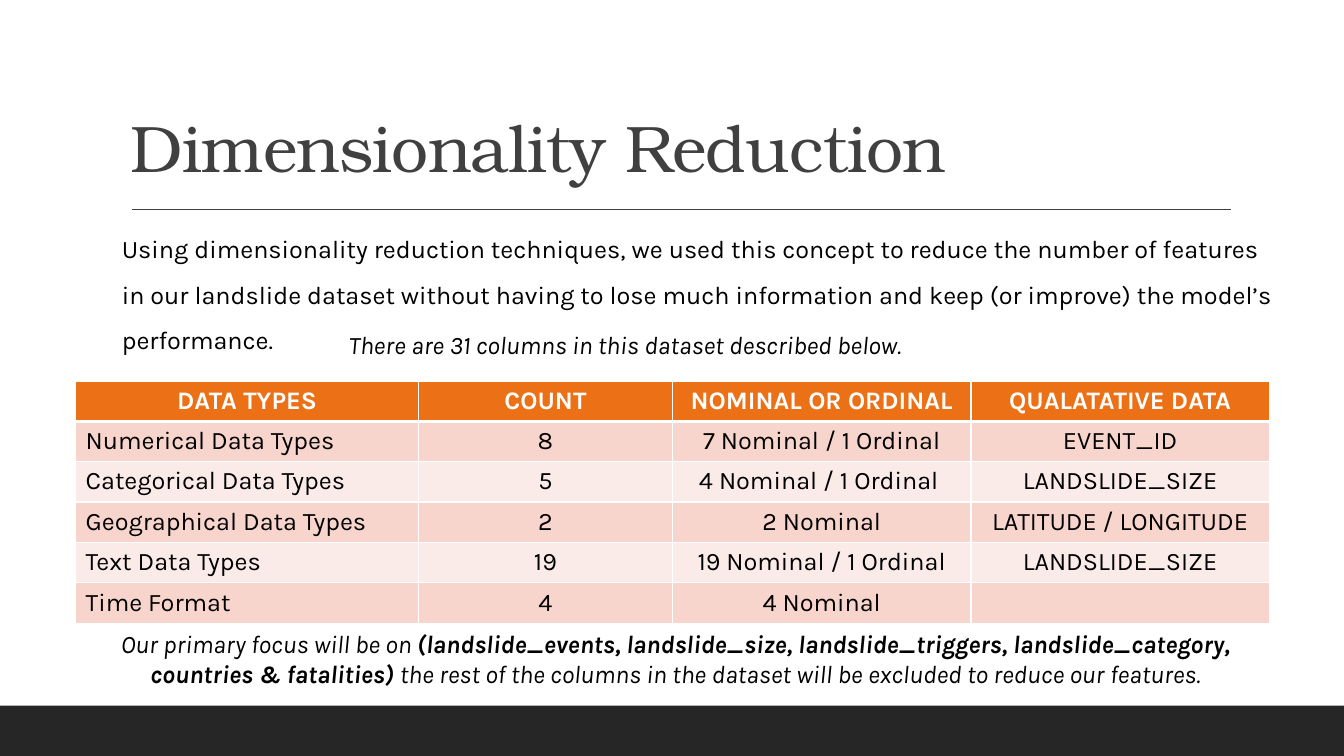
from lxml.etree import SubElement
from pptx import Presentation
from pptx.dml.color import RGBColor
from pptx.enum.shapes import MSO_CONNECTOR as Connector, MSO_SHAPE as Shape
from pptx.enum.text import MSO_ANCHOR as Anchor, PP_ALIGN as Align
from pptx.oxml.ns import qn
from pptx.util import Inches, Pt

WIDTH, HEIGHT = 13.33, 7.5
BODY_FONT, TITLE_FONT = "Karla", "TeX Gyre Bonum"

BLACK = RGBColor(0x00, 0x00, 0x00)
WHITE = RGBColor(0xFF, 0xFF, 0xFF)
CHARCOAL = RGBColor(0x26, 0x26, 0x26)
GRAY = RGBColor(0x40, 0x40, 0x40)
ORANGE = RGBColor(0xEC, 0x70, 0x16)
BANDS = RGBColor(0xF8, 0xD5, 0xCC), RGBColor(0xFB, 0xEB, 0xE8)

INTRO = ("Using dimensionality reduction techniques, we used this concept to reduce "
         "the number of features in our landslide dataset without having to lose much "
         "information and keep (or improve) the model’s performance.")
CAPTION = "There are 31 columns in this dataset described below."
FOCUS = [
    ("Our primary focus will be on ", False),
    ("(landslide_events, landslide_size, landslide_triggers, landslide_category, "
     "countries & fatalities) ", True),
    ("the rest of the columns in the dataset will be excluded to reduce our features.", False),
]
TABLE_ROWS = [
    ("DATA TYPES", "COUNT", "NOMINAL OR ORDINAL", "QUALATATIVE DATA"),
    ("Numerical Data Types", "8", "7 Nominal / 1 Ordinal", "EVENT_ID"),
    ("Categorical Data Types", "5", "4 Nominal / 1 Ordinal ", "LANDSLIDE_SIZE"),
    ("Geographical Data Types", "2", "2 Nominal", "LATITUDE / LONGITUDE"),
    ("Text Data Types", "19", "19 Nominal / 1 Ordinal", "LANDSLIDE_SIZE"),
    ("Time Format", "4", "4 Nominal", ""),
]
COLUMN_WIDTHS = 3.4, 2.52, 2.96, 2.96


def write_text(frame, runs, size=18, font=BODY_FONT, color=BLACK, bold=False,
               italic=False, align=Align.LEFT, line_spacing=None, tracking=None):
    """Write a string, or (text, bold) pairs, as the frame's paragraph."""
    paragraph = frame.paragraphs[0]
    paragraph.alignment = align
    if line_spacing:
        paragraph.line_spacing = line_spacing
    for text, is_bold in [(runs, bold)] if isinstance(runs, str) else runs:
        run = paragraph.add_run()
        run.text = text
        run.font.name, run.font.size = font, Pt(size)
        run.font.bold, run.font.italic = is_bold, italic
        run.font.color.rgb = color
        if tracking:
            run.font._element.set("spc", str(int(tracking * 100)))


def add_text(slide, box, runs, anchor=Anchor.TOP, **text_format):
    frame = slide.shapes.add_textbox(*map(Inches, box)).text_frame
    frame.word_wrap = True
    frame.vertical_anchor = anchor
    write_text(frame, runs, **text_format)


def add_footer_band(slide, box):
    band = slide.shapes.add_shape(Shape.RECTANGLE, *map(Inches, box))
    band.shadow.inherit = False
    band.fill.solid()
    band.fill.fore_color.rgb = CHARCOAL
    band.line.fill.background()


def add_title(slide, box):
    """Title resting on the bottom of its box, with a rule below."""
    left, top, width, height = box
    add_text(slide, box, "Dimensionality Reduction", anchor=Anchor.BOTTOM, size=47,
             font=TITLE_FONT, color=GRAY, line_spacing=0.9, tracking=-0.5)
    rule_left, rule_top = left + 0.11, top + height + 0.18
    rule = slide.shapes.add_connector(
        Connector.STRAIGHT, Inches(rule_left), Inches(rule_top),
        Inches(rule_left + width - 0.1), Inches(rule_top))
    rule.line.color.rgb, rule.line.width = GRAY, Pt(1)
    SubElement(rule._element.spPr, qn("a:effectLst"))


def format_cell(cell, fill, bottom_width):
    properties = cell._tc.get_or_add_tcPr()
    for side, points in (("L", 1), ("R", 1), ("T", 1), ("B", bottom_width)):
        border = SubElement(properties, qn(f"a:ln{side}"), w=str(Pt(points)))
        SubElement(SubElement(border, qn("a:solidFill")), qn("a:srgbClr"), val=str(WHITE))
    cell.fill.solid()
    cell.fill.fore_color.rgb = fill


def add_data_table(slide, box):
    table = slide.shapes.add_table(
        len(TABLE_ROWS), len(COLUMN_WIDTHS), *map(Inches, box)).table
    for column, width in zip(table.columns, COLUMN_WIDTHS):
        column.width = Inches(width)
    for row, texts in enumerate(TABLE_ROWS):
        header = row == 0
        for column, text in enumerate(texts):
            cell = table.cell(row, column)
            format_cell(cell, ORANGE if header else BANDS[(row - 1) % 2], 3 if header else 1)
            if text:
                write_text(cell.text_frame, text, bold=header,
                           color=WHITE if header else BLACK,
                           align=Align.CENTER if header or column else Align.LEFT)


def build_slide(presentation):
    slide = presentation.slides.add_slide(presentation.slide_layouts[6])
    # Frame and title
    add_footer_band(slide, (0, 7, WIDTH, HEIGHT - 7))
    add_title(slide, (1.2, 0.31, 11, 1.59))
    # Introduction and table
    add_text(slide, (1.11, 2.12, 11.64, 0.95), INTRO, line_spacing=1.5)
    add_data_table(slide, (0.75, 3.78, sum(COLUMN_WIDTHS), 2.4))
    # Table caption and closing note
    add_text(slide, (3.36, 3.22, 6.05, 0.4), CAPTION, italic=True)
    add_text(slide, (0.75, 6.18, 11.9, 0.71), FOCUS, italic=True, align=Align.CENTER)


def main():
    presentation = Presentation()
    presentation.slide_width, presentation.slide_height = Inches(WIDTH), Inches(HEIGHT)
    build_slide(presentation)
    presentation.save("out.pptx")


if __name__ == "__main__":
    main()
